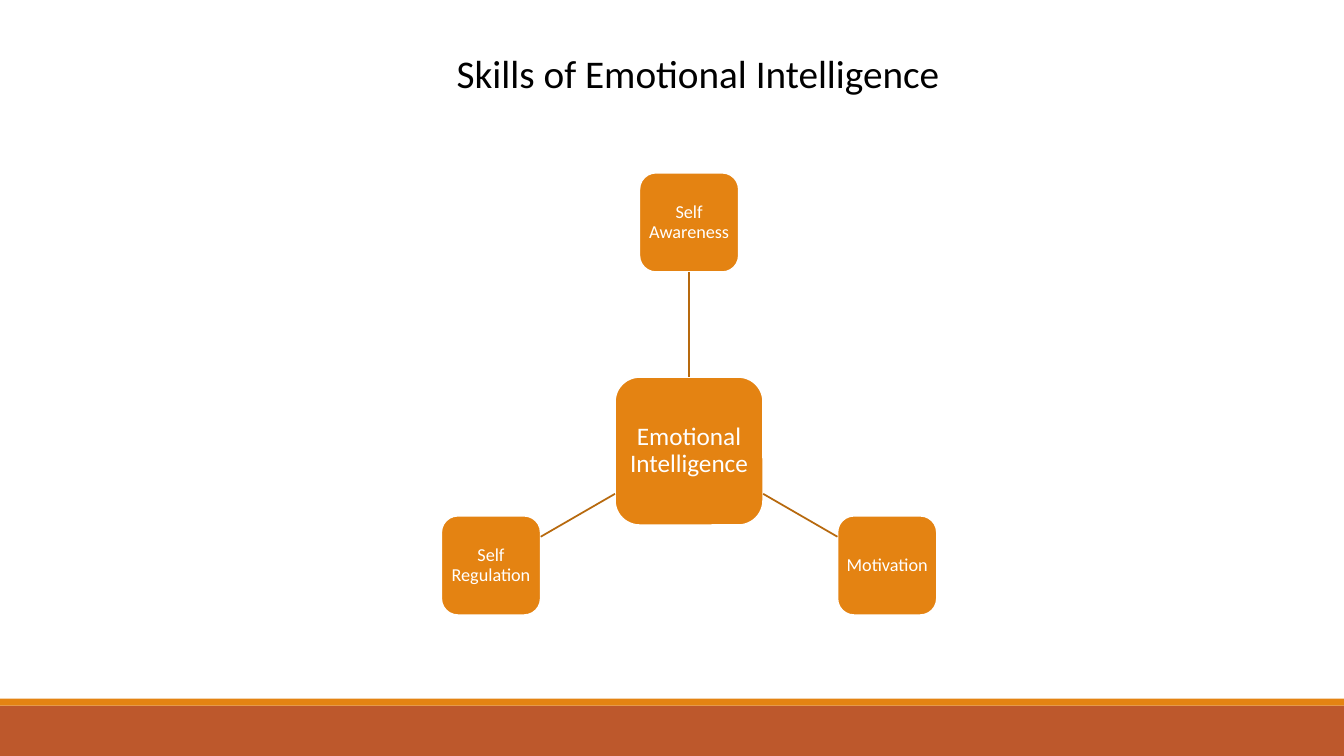
"""Build a radial diagram of the skills of emotional intelligence."""
import math
from dataclasses import dataclass

from lxml import etree
from pptx import Presentation
from pptx.dml.color import RGBColor
from pptx.enum import shapes, text
from pptx.oxml import ns
from pptx.shapes.autoshape import Shape
from pptx.slide import Slide
from pptx import util as u

WHITE = RGBColor(0xFF, 0xFF, 0xFF)
BLACK = RGBColor(0x00, 0x00, 0x00)
ORANGE = RGBColor(0xE4, 0x83, 0x12)
RUST = RGBColor(0xBD, 0x58, 0x2C)
BROWN = RGBColor(0xB7, 0x69, 0x0E)
FONT = "Calibri"
WIDTH, HEIGHT = u.Inches(13.33), u.Inches(7.5)
LINE_WIDTH = u.Pt(1.25)


def across(percent: float) -> int:
    """Turn a percentage of the slide's width into a length."""
    return round(WIDTH * percent / 100)


def down(percent: float) -> int:
    """Turn a percentage of the slide's height into a length."""
    return round(HEIGHT * percent / 100)


CENTER_X, CENTER_Y = across(51.27), down(59.67)
ORBIT = down(30.25)


@dataclass(frozen=True)
class Band:
    """A full-width footer band, in percent of the slide's height."""
    top: float
    height: float
    color: RGBColor


@dataclass(frozen=True)
class Node:
    """A square node whose center lies on a circle around the hub."""
    label: str
    side: int
    font_size: float
    inset: float
    orbit: int = 0
    angle: float = 0

    @property
    def center(self) -> tuple[float, float]:
        """Return the center of the node."""
        radians = math.radians(self.angle)
        return (CENTER_X + self.orbit * math.cos(radians),
                CENTER_Y + self.orbit * math.sin(radians))

    def edge_point(self, angle: float) -> tuple[int, int]:
        """Return where a ray from the center leaves the square."""
        x, y = self.center
        cosine, sine = math.cos(math.radians(angle)), math.sin(math.radians(angle))
        reach = self.side / 2 / max(abs(cosine), abs(sine))
        return round(x + reach * cosine), round(y + reach * sine)


BANDS = (Band(93.33, 6.67, RUST), Band(92.4, 0.93, ORANGE))
HUB = Node("Emotional Intelligence", down(19.6), 18, 0.05)
SKILLS = [
    Node(label, down(13.15), 13, 0.04, ORBIT, -90 + 120 * index)
    for index, label in enumerate(("Self Awareness", "Motivation", "Self Regulation"))
]


def add_label(frame, label: str, size: float, color: RGBColor):
    """Write one formatted run and return its paragraph."""
    paragraph = frame.paragraphs[0]
    run = paragraph.add_run()
    run.text = label
    run.font.name = FONT
    run.font.size = u.Pt(size)
    run.font.color.rgb = color
    return paragraph


def add_title(slide: Slide, label: str) -> None:
    """Fill and place the title placeholder."""
    title = slide.shapes.title
    title.left, title.top = across(33.23), down(5.87)
    title.width, title.height = across(50.49), down(7.6)
    frame = title.text_frame
    frame.word_wrap = True
    frame.auto_size = text.MSO_AUTO_SIZE.NONE
    frame.vertical_anchor = text.MSO_ANCHOR.TOP
    paragraph = add_label(frame, label, 28, BLACK)
    paragraph.alignment = text.PP_ALIGN.LEFT


def add_band(slide: Slide, band: Band) -> None:
    """Draw a footer band."""
    shape = slide.shapes.add_shape(
        shapes.MSO_SHAPE.RECTANGLE, 0, down(band.top), WIDTH, down(band.height))
    shape.shadow.inherit = False
    shape.fill.solid()
    shape.fill.fore_color.rgb = band.color
    shape.line.fill.background()


def add_node(slide: Slide, node: Node) -> Shape:
    """Draw a labelled rounded square."""
    x, y = node.center
    shape = slide.shapes.add_shape(
        shapes.MSO_SHAPE.ROUNDED_RECTANGLE, round(x - node.side / 2),
        round(y - node.side / 2), node.side, node.side)
    shape.shadow.inherit = False
    shape.fill.solid()
    shape.fill.fore_color.rgb = ORANGE
    shape.line.color.rgb = WHITE
    shape.line.width = LINE_WIDTH
    frame = shape.text_frame
    frame.word_wrap = True
    frame.vertical_anchor = text.MSO_ANCHOR.MIDDLE
    frame.margin_left = frame.margin_right = u.Inches(node.inset)
    frame.margin_top = frame.margin_bottom = u.Inches(node.inset)
    paragraph = add_label(frame, node.label, node.font_size, WHITE)
    paragraph.alignment = text.PP_ALIGN.CENTER
    paragraph.line_spacing = 0.9
    return shape


def add_spoke(slide: Slide, hub_shape: Shape, skill: Node, skill_shape: Shape) -> None:
    """Draw the line from the hub to a skill."""
    start = HUB.edge_point(skill.angle)
    end = skill.edge_point(skill.angle + 180)
    spoke = slide.shapes.add_connector(shapes.MSO_CONNECTOR.STRAIGHT, *start, *end)
    spoke.line.color.rgb = BROWN
    spoke.line.width = LINE_WIDTH
    etree.SubElement(spoke._element.spPr, ns.qn("a:effectLst"))
    if skill.angle == -90:
        spoke.begin_connect(hub_shape, 0)
        spoke.end_connect(skill_shape, 2)


def main() -> None:
    """Build and save the slide."""
    presentation = Presentation()
    presentation.slide_width, presentation.slide_height = WIDTH, HEIGHT
    slide = presentation.slides.add_slide(presentation.slide_layouts[5])
    for band in BANDS:
        add_band(slide, band)
    hub_shape = add_node(slide, HUB)
    for skill in SKILLS:
        add_spoke(slide, hub_shape, skill, add_node(slide, skill))
    add_title(slide, "Skills of Emotional Intelligence")
    presentation.save("out.pptx")


if __name__ == "__main__":
    main()
